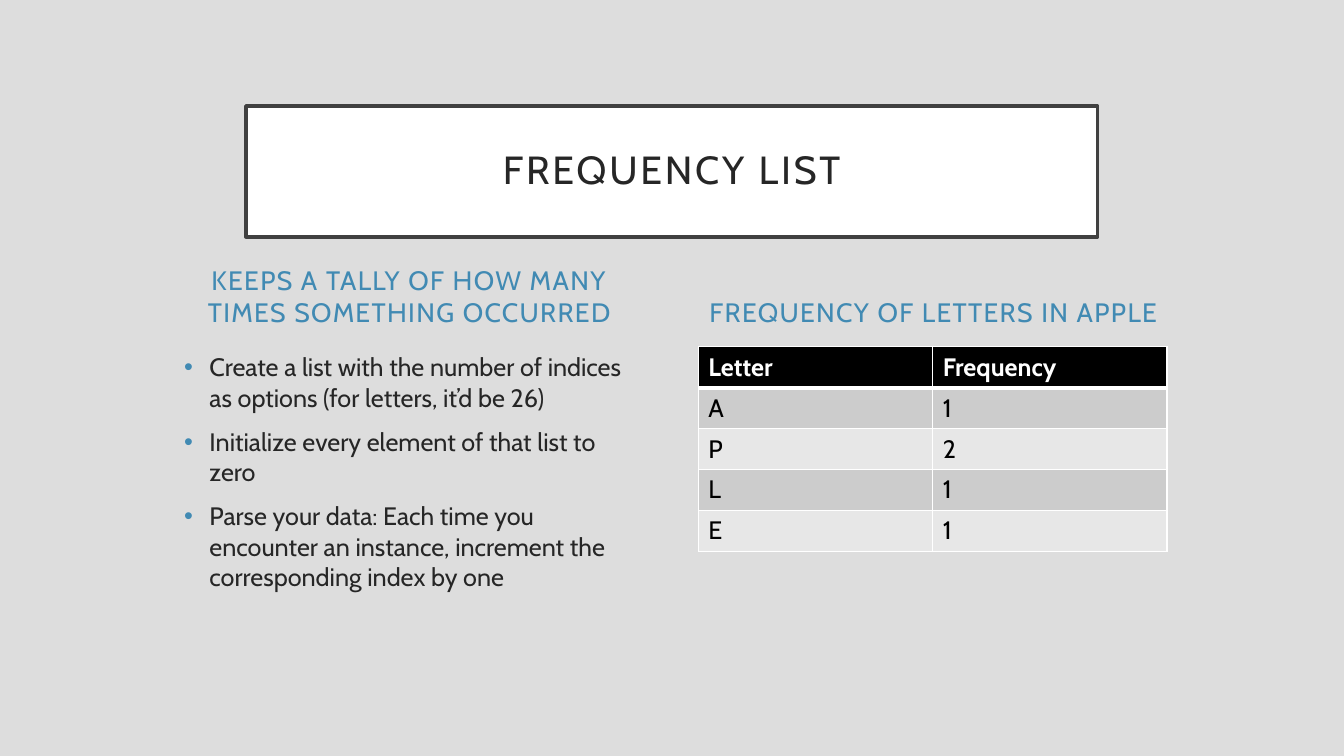
from dataclasses import dataclass

import pptx
import pptx.dml.color
import pptx.enum.text
import pptx.oxml
import pptx.oxml.ns
import pptx.presentation
import pptx.slide
import pptx.table
import pptx.text.text
import pptx.util

Cm = pptx.util.Cm
Pt = pptx.util.Pt
RGBColor = pptx.dml.color.RGBColor
Align = pptx.enum.text.PP_ALIGN
Anchor = pptx.enum.text.MSO_ANCHOR

FONT = "Cabin"
BACKDROP = RGBColor(0xDD, 0xDD, 0xDD)
BLUE = RGBColor(0x41, 0x8A, 0xB3)
INK = RGBColor(0x26, 0x26, 0x26)
FRAME = RGBColor(0x40, 0x40, 0x40)
WHITE = RGBColor(0xFF, 0xFF, 0xFF)
BLACK = RGBColor(0x00, 0x00, 0x00)
BANDS = (RGBColor(0xCC, 0xCC, 0xCC), RGBColor(0xE7, 0xE7, 0xE7))

LEFT_COLUMN = Cm(4.39)
RIGHT_COLUMN = Cm(17.6)
COLUMN_WIDTH = Cm(11.86)
HEADING_TOP = Cm(6.43)
CONTENT_TOP = Cm(8.74)
ROW_HEIGHT = Cm(1.03)


@dataclass(frozen=True)
class TextStyle:
    size: float
    color: RGBColor
    bold: bool = False
    tracking: float = 0


@dataclass(frozen=True)
class Heading:
    left: int
    text: str


TITLE_STYLE = TextStyle(28, INK, tracking=2)
HEADING_STYLE = TextStyle(19, BLUE, tracking=1)
BULLET_STYLE = TextStyle(18, INK)
HEADER_STYLE = TextStyle(18, WHITE, bold=True)
CELL_STYLE = TextStyle(18, BLACK)

HEADINGS = (
    Heading(LEFT_COLUMN, "KEEPS A TALLY OF HOW MANY TIMES SOMETHING OCCURRED"),
    Heading(RIGHT_COLUMN, "FREQUENCY OF LETTERS IN APPLE"),
)
STEPS = (
    "Create a list with the number of indices as options (for letters, it’d be 26)",
    "Initialize every element of that list to zero",
    "Parse your data: Each time you encounter an instance, increment the corresponding index by one",
)
FREQUENCIES = (("Letter", "Frequency"), ("A", "1"), ("P", "2"), ("L", "1"), ("E", "1"))


def style_runs(paragraph: pptx.text.text._Paragraph, style: TextStyle) -> None:
    for run in paragraph.runs:
        run.font.name = FONT
        run.font.size = Pt(style.size)
        run.font.bold = style.bold
        run.font.color.rgb = style.color
        if style.tracking:
            run._r.get_or_add_rPr().set("spc", str(int(style.tracking * 100)))


def format_title(slide: pptx.slide.Slide) -> None:
    title = slide.shapes.title
    title.left, title.top, title.width, title.height = Cm(6.2), Cm(2.67), Cm(21.46), Cm(3.3)
    title.fill.solid()
    title.fill.fore_color.rgb = WHITE
    title.line.color.rgb = FRAME
    title.line.width = Pt(2.5)
    pptx.oxml.ns.qn("a:miter")
    frame = title.text_frame
    frame.text = "FREQUENCY LIST"
    frame.word_wrap = True
    frame.auto_size = pptx.enum.text.MSO_AUTO_SIZE.NONE
    frame.vertical_anchor = Anchor.MIDDLE
    frame.margin_left = frame.margin_right = Cm(0.51)
    frame.margin_top = frame.margin_bottom = Cm(0.51)
    paragraph = frame.paragraphs[0]
    paragraph.alignment = Align.CENTER
    paragraph.line_spacing = 0.9
    style_runs(paragraph, TITLE_STYLE)


def add_heading(slide: pptx.slide.Slide, heading: Heading) -> None:
    frame = slide.shapes.add_textbox(heading.left, HEADING_TOP, COLUMN_WIDTH, Cm(1.96)).text_frame
    frame.text = heading.text
    frame.word_wrap = True
    frame.vertical_anchor = Anchor.BOTTOM
    frame.paragraphs[0].alignment = Align.CENTER
    style_runs(frame.paragraphs[0], HEADING_STYLE)


def add_bullet(paragraph: pptx.text.text._Paragraph) -> None:
    properties = paragraph._p.get_or_add_pPr()
    properties.set("marL", str(Cm(0.64)))
    properties.set("indent", str(-Cm(0.64)))
    namespace = pptx.oxml.ns.nsdecls("a")
    for markup in (
        f'<a:buClr {namespace}><a:srgbClr val="{BLUE}"/></a:buClr>',
        f'<a:buFont {namespace} typeface="Arial"/>',
        f'<a:buChar {namespace} char="•"/>',
    ):
        properties.append(pptx.oxml.parse_xml(markup))


def add_steps(slide: pptx.slide.Slide) -> None:
    frame = slide.shapes.add_textbox(LEFT_COLUMN, CONTENT_TOP, COLUMN_WIDTH, Cm(7.21)).text_frame
    frame.text = "\n".join(STEPS)
    frame.word_wrap = True
    for index, paragraph in enumerate(frame.paragraphs):
        if index:
            paragraph.space_before = Pt(10)
        add_bullet(paragraph)
        style_runs(paragraph, BULLET_STYLE)


def add_borders(cell: pptx.table._Cell, top: float, bottom: float) -> None:
    properties = cell._tc.get_or_add_tcPr()
    for side, width in (("L", 1), ("R", 1), ("T", top), ("B", bottom)):
        properties.append(pptx.oxml.parse_xml(
            f'<a:ln{side} {pptx.oxml.ns.nsdecls("a")} w="{Pt(width)}">'
            f'<a:solidFill><a:srgbClr val="{WHITE}"/></a:solidFill></a:ln{side}>'
        ))


def add_frequency_table(slide: pptx.slide.Slide) -> None:
    row_count, column_count = len(FREQUENCIES), len(FREQUENCIES[0])
    table = slide.shapes.add_table(
        row_count, column_count, RIGHT_COLUMN, CONTENT_TOP, Cm(11.81), ROW_HEIGHT * row_count
    ).table
    for row_index, values in enumerate(FREQUENCIES):
        table.rows[row_index].height = ROW_HEIGHT
        is_header = row_index == 0
        for column_index, value in enumerate(values):
            cell = table.cell(row_index, column_index)
            cell.text = value
            add_borders(cell, top=3 if row_index == 1 else 1, bottom=3 if is_header else 1)
            cell.fill.solid()
            cell.fill.fore_color.rgb = BLACK if is_header else BANDS[(row_index - 1) % 2]
            style_runs(cell.text_frame.paragraphs[0], HEADER_STYLE if is_header else CELL_STYLE)


def main() -> None:
    deck = pptx.Presentation()
    deck.slide_width, deck.slide_height = Cm(33.87), Cm(19.05)
    slide = deck.slides.add_slide(deck.slide_layouts.get_by_name("Title Only"))
    slide.background.fill.solid()
    slide.background.fill.fore_color.rgb = BACKDROP
    format_title(slide)
    for heading in HEADINGS:
        add_heading(slide, heading)
    add_steps(slide)
    add_frequency_table(slide)
    deck.save("out.pptx")


if __name__ == "__main__":
    main()
